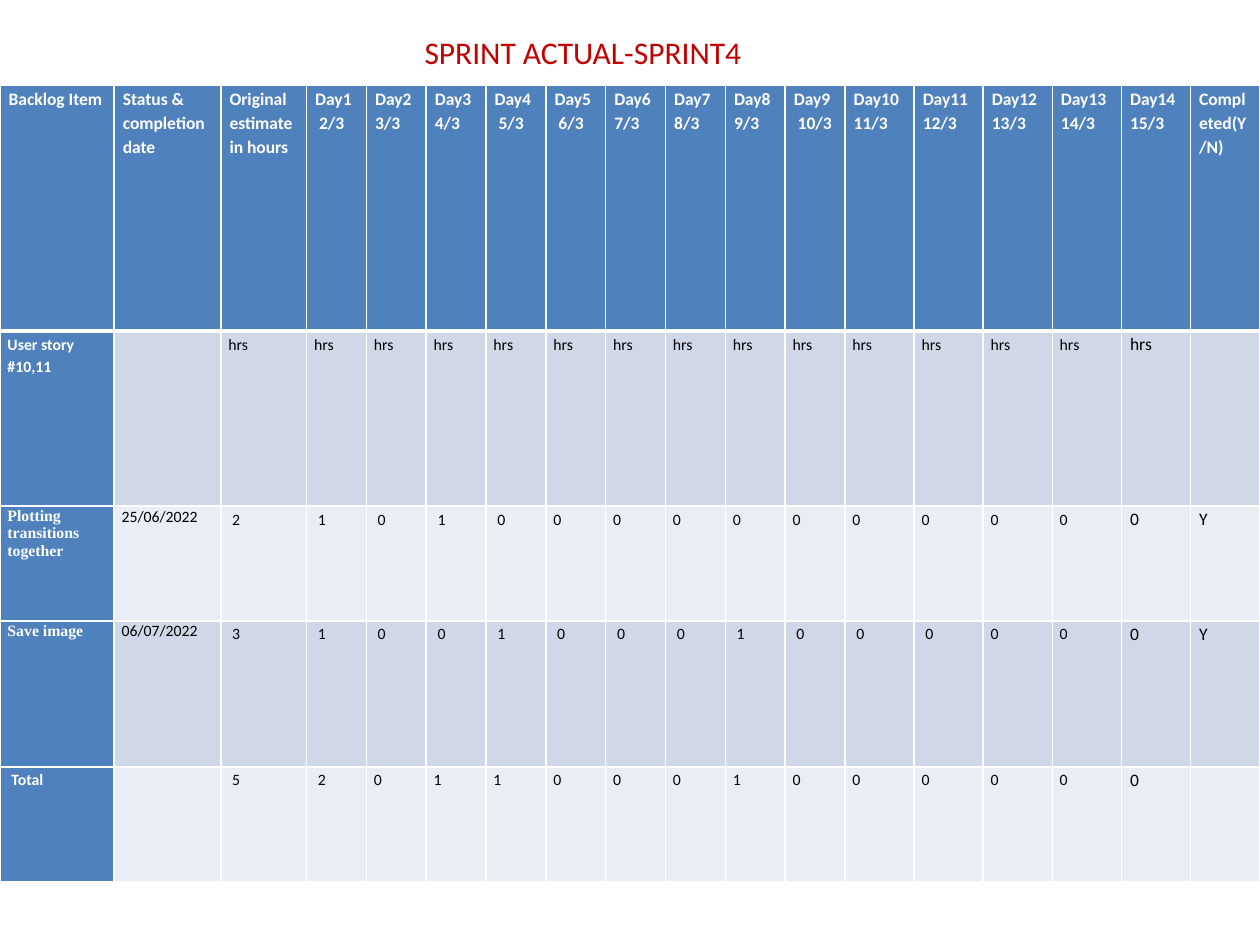
from lxml.etree import SubElement as Sub
from pptx import Presentation as Deck
from pptx.dml.color import RGBColor as RGB
from pptx.enum.text import MSO_ANCHOR as Anchor, PP_ALIGN as Align
from pptx.oxml.ns import qn
from pptx.util import Pt

inks = {"head": "4F81BD", "odd": "D0D8E8", "even": "E9EDF4",
        "white": "FFFFFF", "black": "000000", "title": "C00000"}
wide = {"margin_left": Pt(5), "margin_right": Pt(5), "margin_top": 0, "margin_bottom": 0}
slim = {"margin_left": Pt(4.3), "margin_right": Pt(4.3), "margin_top": Pt(0.7), "margin_bottom": 0}
loose = {"line_spacing": 1.15}
spaced = {"line_spacing": 1.15, "space_after": Pt(10)}
tight = {"line_spacing": 1}


def put(part, text, ink, form, size, name="Calibri", bold=False):
    part.text = text
    for key, val in form.items():
        setattr(part, key, val)
    font = part.runs[0].font
    for key, val in {"size": Pt(size), "name": name, "bold": bold}.items():
        setattr(font, key, val)
    font.color.rgb = RGB.from_string(inks[ink])


def edge(cell, sides):
    props = cell._tc.get_or_add_tcPr()
    for side, width in sides.items():
        line = Sub(props, qn("a:ln" + side), w=str(Pt(width)))
        fill = Sub(line, qn("a:solidFill"))
        Sub(fill, qn("a:srgbClr"), val=inks["white"])


deck = Deck()
deck.slide_width, deck.slide_height = Pt(720), Pt(540)
slide = deck.slides.add_slide(deck.slide_layouts[5])

title = slide.shapes.title
spot = {"left": Pt(235.4), "top": Pt(15.1), "width": Pt(197.3), "height": Pt(29)}
for key, val in spot.items():
    setattr(title, key, val)
frame = title.text_frame
frame.word_wrap = False
frame.vertical_anchor = Anchor.TOP
put(frame.paragraphs[0], "SPRINT ACTUAL-SPRINT4", "title", {"alignment": Align.LEFT}, 18)

heads = ["Backlog Item", "Status & completion date", "Original estimate in hours"]
heads += [f"Day{day}\n{day + 1}/3" for day in range(1, 15)] + ["Completed(Y/N)"]
rows = [
    heads,
    ["User story #10,11", ""] + ["hrs"] * 15 + [""],
    ["Plotting transitions together", "25/06/2022", *"210100000000000", "Y"],
    ["Save image", "06/07/2022", *"310010001000000", "Y"],
    ["Total", "", *"520110001000000", ""],
]
nudged = [{3, 6, 7, 11}, set(), set(range(2, 7)), set(range(2, 14)), {0, 2, 3}]
widths = [65.2, 61, 49] + [34.2] * 9 + [39.5] * 6
heights = [140.4, 100, 65.6, 83.5, 65.6]

grid = slide.shapes.add_table(len(rows), len(widths), 0, Pt(48.8),
                              Pt(720), Pt(sum(heights))).table
for col, width in zip(grid.columns, widths):
    col.width = Pt(width)
for row, height in zip(grid.rows, heights):
    row.height = Pt(height)

for r, row in enumerate(rows):
    for c, text in enumerate(row):
        cell = grid.cell(r, c)
        top, side, late = r == 0, c == 0, c > 15
        for key, val in (wide if top or late else slim).items():
            setattr(cell, key, val)
        edge(cell, {"L": 1, "R": 1, "T": 3 if r == 1 else 1, "B": 3 if top else 1})
        cell.fill.solid()
        shade = "head" if top or side else "odd" if r % 2 else "even"
        cell.fill.fore_color.rgb = RGB.from_string(inks[shade])
        if not text:
            continue
        named = r in (2, 3)
        form = loose if top or late else tight if named and c < 2 else spaced
        size = 10 if top or late else 9
        face = "Times New Roman" if named and side else "Calibri"
        ink = "white" if top or side else "black"
        frame = cell.text_frame
        for n, line in enumerate(text.split("\n")):
            part = frame.add_paragraph() if n else frame.paragraphs[0]
            put(part, line, ink, form, size, face, top or side)
        if c in nudged[r]:
            part._p.get_or_add_pPr().set("marL", str(Pt(2.2)))

deck.save("out.pptx")
